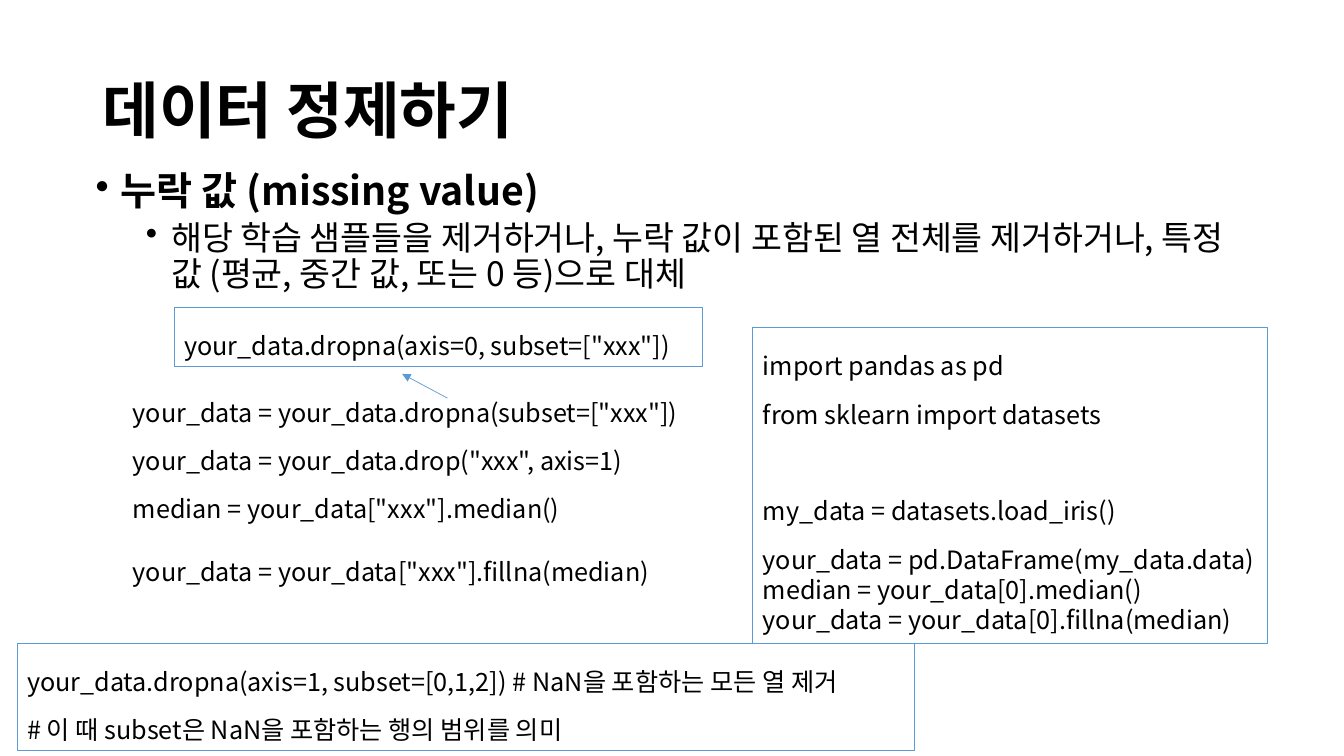
import dataclasses

import lxml.etree
import pptx
import pptx.dml.color
import pptx.enum.shapes
import pptx.enum.text
import pptx.oxml.ns
import pptx.util

Pt = pptx.util.Pt
qn = pptx.oxml.ns.qn
Align = pptx.enum.text.PP_ALIGN
Anchor = pptx.enum.text.MSO_ANCHOR

# Grid of 160 columns by 90 rows
WIDE, HIGH = pptx.util.Inches(13.33), pptx.util.Inches(7.5)
COLS, ROWS = 160, 90


@dataclasses.dataclass(frozen=True)
class Theme:
    font: str = "Noto Sans CJK KR"
    ink: str = "000000"
    edge: str = "5B9BD5"
    title: int = 44
    head: int = 28
    body: int = 24
    code: int = 18
    frame: float = 0.75
    arrow: float = 0.5


@dataclasses.dataclass(frozen=True)
class Line:
    text: str
    size: int
    bold: bool = False
    lead: float = 1.6
    before: float = 0
    indent: float = 0  # bullet text indent in inches, 0 for no bullet
    align: Align = Align.LEFT


@dataclasses.dataclass(frozen=True)
class Box:
    left: float
    top: float
    width: float
    height: float
    lines: list[Line]
    framed: bool = False
    anchor: Anchor = Anchor.TOP


THEME = Theme()


def col(n: float) -> int:
    return round(WIDE * n / COLS)


def row(n: float) -> int:
    return round(HIGH * n / ROWS)


def color(code: str) -> pptx.dml.color.RGBColor:
    return pptx.dml.color.RGBColor.from_string(code)


def code(text: str, lead: float = 1.6, before: float = 0) -> Line:
    return Line(text, THEME.code, lead=lead, before=before, align=Align.JUSTIFY)


def add_bullet(para, indent: float) -> None:
    props = para._p.get_or_add_pPr()
    props.set("marL", str(pptx.util.Inches(indent)))
    props.set("indent", str(pptx.util.Inches(-0.25)))
    mark = lxml.etree.Element(qn("a:buChar"), char="•")
    props.find(qn("a:defRPr")).addprevious(mark)


def write(para, line: Line) -> None:
    para.text = line.text
    para.alignment = line.align
    para.line_spacing = line.lead
    para.space_before = Pt(line.before)
    font = para.font
    font.name, font.size, font.bold = THEME.font, Pt(line.size), line.bold
    font.color.rgb = color(THEME.ink)
    latin = font._element.find(qn("a:latin"))
    latin.addnext(lxml.etree.Element(qn("a:ea"), typeface=THEME.font))
    if line.indent:
        add_bullet(para, line.indent)


def draw(slide, box: Box) -> None:
    place = col(box.left), row(box.top), col(box.width), row(box.height)
    if box.framed:
        shape = slide.shapes.add_shape(
            pptx.enum.shapes.MSO_SHAPE.RECTANGLE, *place)
        shape.shadow.inherit = False
        shape.fill.background()
        shape.line.color.rgb = color(THEME.edge)
        shape.line.width = Pt(THEME.frame)
    else:
        shape = slide.shapes.add_textbox(*place)
    frame = shape.text_frame
    frame.word_wrap = True
    frame.vertical_anchor = box.anchor
    for i, line in enumerate(box.lines):
        write(frame.add_paragraph() if i else frame.paragraphs[0], line)


def draw_arrow(slide, x1: float, y1: float, x2: float, y2: float) -> None:
    arrow = slide.shapes.add_connector(
        pptx.enum.shapes.MSO_CONNECTOR.STRAIGHT,
        col(x1), row(y1), col(x2), row(y2))
    arrow.line.color.rgb = color(THEME.edge)
    arrow.line.width = Pt(THEME.arrow)
    lxml.etree.SubElement(arrow.line._ln, qn("a:tailEnd"), type="triangle")
    lxml.etree.SubElement(arrow._element.spPr, qn("a:effectLst"))


BOXES = [
    # Title
    Box(11, 4.8, 138, 17.4,
        [Line("데이터 정제하기", THEME.title, bold=True, lead=0.9)],
        anchor=Anchor.MIDDLE),
    # Bullets
    Box(10.2, 19.9, 138, 16.6, [
        Line("누락 값 (missing value)", THEME.head, bold=True, lead=0.9,
             indent=0.25),
        Line("해당 학습 샘플들을 제거하거나, 누락 값이 포함된 열 전체를 제거하거나, "
             "특정 값 (평균, 중간 값, 또는 0 등)으로 대체", THEME.body,
             lead=0.9, before=5, indent=0.75),
    ]),
    # Basic calls
    Box(14.64, 44.5, 80, 26.4, [
        code('your_data = your_data.dropna(subset=["xxx"])'),
        code('your_data = your_data.drop("xxx", axis=1)'),
        code('median = your_data["xxx"].median()'),
        code('your_data = your_data["xxx"].fillna(median)', before=10.5),
    ]),
    # Full example
    Box(89.64, 39, 61.2, 37.56, [
        code("import pandas as pd"),
        code("from sklearn import datasets"),
        code("my_data = datasets.load_iris()", before=34.5),
        code("your_data = pd.DataFrame(my_data.data)"),
        code("median = your_data[0].median()", lead=1),
        code("your_data = your_data[0].fillna(median)", lead=1),
    ], framed=True),
    # Row removal
    Box(20.76, 36.6, 62.88, 7.08,
        [code('your_data.dropna(axis=0, subset=["xxx"])')], framed=True),
    # Column removal
    Box(2.04, 76.56, 106.8, 12.84, [
        code("your_data.dropna(axis=1, subset=[0,1,2]) "
             "# NaN을 포함하는 모든 열 제거"),
        code("# 이 때 subset은 NaN을 포함하는 행의 범위를 의미"),
    ], framed=True),
]


def main() -> None:
    deck = pptx.Presentation()
    deck.slide_width, deck.slide_height = WIDE, HIGH
    slide = deck.slides.add_slide(deck.slide_layouts[6])
    for box in BOXES:
        draw(slide, box)
    draw_arrow(slide, 53.28, 47.4, 47.88, 44.52)
    deck.save("out.pptx")


if __name__ == "__main__":
    main()
